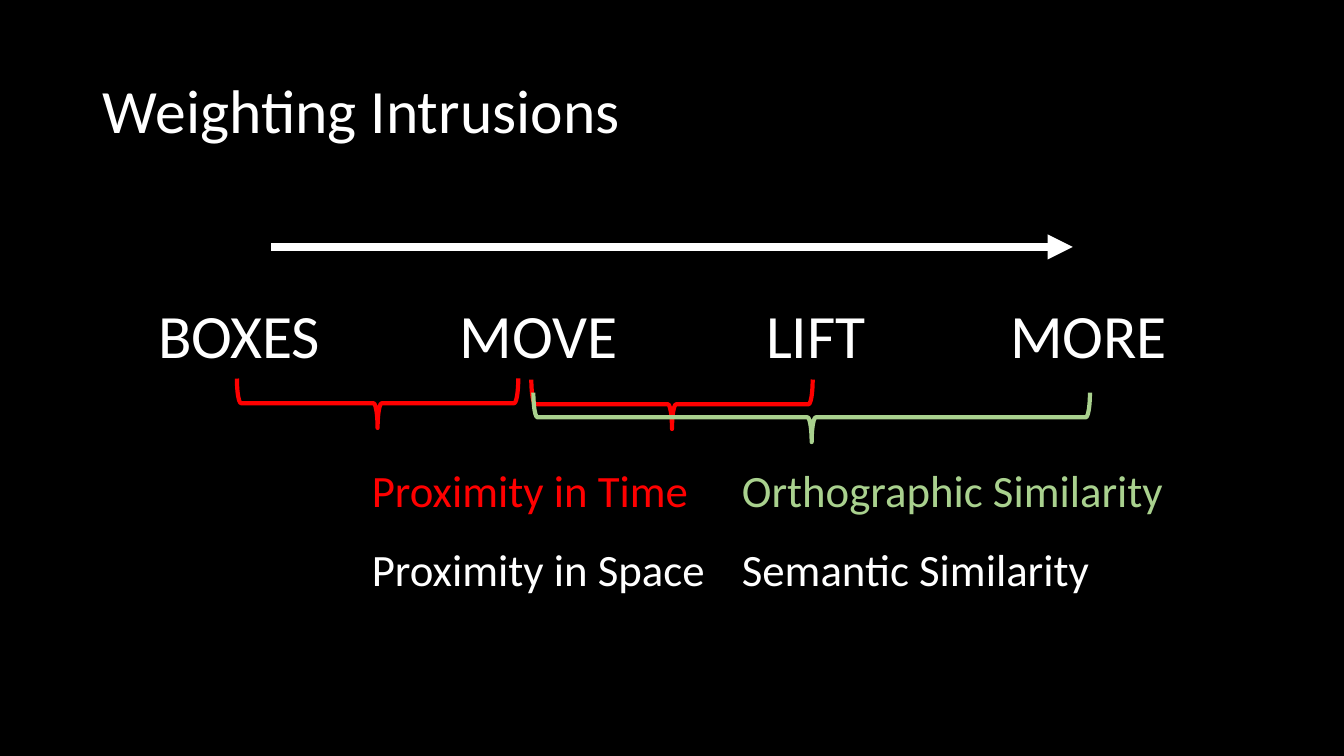
from lxml import etree
from pptx import Presentation
from pptx import util as u
from pptx.dml.color import RGBColor
from pptx.enum import shapes, text
from pptx.oxml.ns import qn

# Content
W, H = 13.33, 7.5
FONT = "Calibri"
COLORS = {"back": "000000", "plain": "FFFFFF", "time": "FF0000", "spelling": "A9D18E"}
TITLE = "Weighting Intrusions"
TITLE_BOX = (0.92, 0.4, 11.5, 1.45)
ARROW = (2.69, 10.64, 2.45)  # from x, to x, y
WORD_TOP, WORD_SIZE, WORD_H = 2.9, 44, 0.84
WORDS = [("BOXES", 1.47, 1.83), ("MOVE", 4.46, 1.78),
         ("LIFT", 7.5, 1.2), ("MORE", 9.92, 1.77)]  # word, left, width
BRACE_DEPTH = 0.49
BRACES = [(2.35, 5.14, 4.0, "time"), (5.27, 8.06, 4.01, "time"),
          (5.29, 10.81, 4.14, "spelling")]  # from x, to x, middle y, colour
FACTOR_TOP, FACTOR_STEP, FACTOR_SIZE, FACTOR_H = 4.54, 0.79, 32, 0.64
FACTOR_COLS = [(3.59, 3.54), (7.26, 4.43)]  # left, width
FACTORS = [[("Proximity in Time", "time"), ("Orthographic Similarity", "spelling")],
           [("Proximity in Space", "plain"), ("Semantic Similarity", "plain")]]


def rgb(name):
    return RGBColor.from_string(COLORS[name])


def inches(*values):
    return [u.Inches(v) for v in values]


def write(tf, words, size, color):
    p = tf.paragraphs[0]
    p.alignment = text.PP_ALIGN.LEFT
    r = p.add_run()
    r.text = words
    for key, value in {"name": FONT, "size": u.Pt(size)}.items():
        setattr(r.font, key, value)
    r.font.color.rgb = rgb(color)
    return p


def label(words, box, size, color):
    tf = s.shapes.add_textbox(*inches(*box)).text_frame
    tf.word_wrap = False
    tf.auto_size = text.MSO_AUTO_SIZE.SHAPE_TO_FIT_TEXT
    write(tf, words, size, color)


def stroke(sp, color, width):
    sp.line.color.rgb = rgb(color)
    sp.line.width = u.Pt(width)


# Slide and title
prs = Presentation()
prs.slide_width, prs.slide_height = inches(W, H)
s = prs.slides.add_slide(prs.slide_layouts[5])
s.background.fill.solid()
s.background.fill.fore_color.rgb = rgb("back")
title = s.shapes.title
title.left, title.top, title.width, title.height = inches(*TITLE_BOX)
title.text_frame.vertical_anchor = text.MSO_ANCHOR.MIDDLE
write(title.text_frame, TITLE, 44, "plain").line_spacing = 0.9

# Words in order of time
for word, left, width in WORDS:
    label(word, (left, WORD_TOP, width, WORD_H), WORD_SIZE, "plain")

# Time arrow
x1, x2, y = ARROW
arrow = s.shapes.add_connector(shapes.MSO_CONNECTOR.STRAIGHT, *inches(x1, y, x2, y))
stroke(arrow, "plain", 6)
etree.SubElement(arrow.line._get_or_add_ln(), qn("a:tailEnd"), type="triangle")
etree.SubElement(arrow._element.spPr, qn("a:effectLst"))

# Braces joining pairs of words, turned to open upwards
for x1, x2, y, color in BRACES:
    span = x2 - x1
    brace = s.shapes.add_shape(
        shapes.MSO_SHAPE.LEFT_BRACE,
        *inches((x1 + x2 - BRACE_DEPTH) / 2, y - span / 2, BRACE_DEPTH, span))
    brace.rotation = 270
    brace.shadow.inherit = False
    brace.fill.background()
    stroke(brace, color, 3)

# Weighting factors
for row, factors in enumerate(FACTORS):
    for (left, width), (words, color) in zip(FACTOR_COLS, factors):
        top = FACTOR_TOP + row * FACTOR_STEP
        label(words, (left, top, width, FACTOR_H), FACTOR_SIZE, color)

prs.save("out.pptx")
